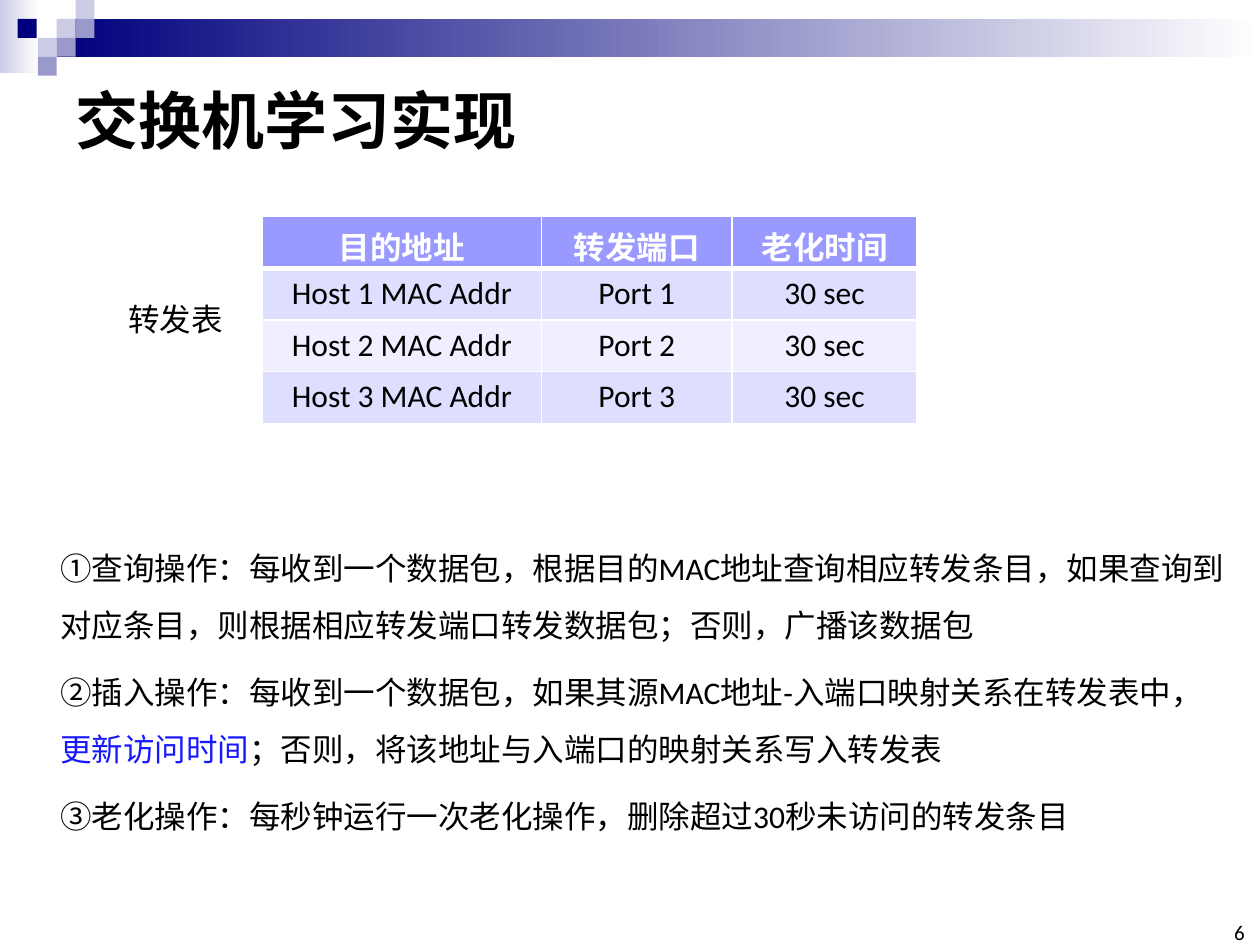
from lxml import etree
from pptx import Presentation
from pptx import util as u
from pptx.dml.color import RGBColor
from pptx.enum import shapes, text
from pptx.oxml.ns import qn

FONT = "Calibri"
BLACK, WHITE, BLUE = "000000", "FFFFFF", "1818FF"
NAVY, PALE, MID = "00007D", "CCCCE6", "9999CC"
HEADER, BANDS = "9999FF", ("DEDEFF", "EFEFFF")

# Content
TITLE = "交换机学习实现"
TABLE_LABEL = "转发表"
PAGE_NUMBER = "6"
TABLE_ROWS = [("目的地址", "转发端口", "老化时间")] + [
    (f"Host {n} MAC Addr", f"Port {n}", "30 sec") for n in (1, 2, 3)]
COLUMN_WIDTHS = (2.22, 1.51, 1.47)
ROW_HEIGHT = 0.41
OPERATIONS = [
    [("①查询操作：每收到一个数据包，根据目的MAC地址查询相应转发条目，如果查询到对应条目，"
      "则根据相应转发端口转发数据包；否则，广播该数据包", BLACK)],
    [("②插入操作：每收到一个数据包，如果其源MAC地址-入端口映射关系在转发表中，", BLACK),
     ("更新访问时间", BLUE),
     ("；否则，将该地址与入端口的映射关系写入转发表", BLACK)],
    [("③老化操作：每秒钟运行一次老化操作，删除超过30秒未访问的转发条目", BLACK)],
]
GRADIENT_BARS = [((0, 0, 0.31, 0.58), PALE), ((0.45, 0.15, 9.55, 0.3), NAVY)]
SQUARE = 0.15
SQUARES = [(0.45, 0.15, PALE), (0.6, 0, PALE), (0.6, 0.15, MID), (0.3, 0.3, PALE),
           (0.14, 0.15, NAVY), (0.45, 0.3, MID), (0.3, 0.45, MID)]


def color(value):
    return RGBColor.from_string(value)


def inches(values):
    return [u.Inches(value) for value in values]


def add_span(para, words, size=18, tone=BLACK, bold=False):
    span = para.add_run()
    span.text = words
    span.font.name, span.font.size, span.font.bold = FONT, u.Pt(size), bold
    span.font.color.rgb = color(tone)


def add_box(at, wrap=True, anchor=text.MSO_ANCHOR.TOP):
    frame = page.shapes.add_textbox(*inches(at)).text_frame
    frame.word_wrap, frame.vertical_anchor = wrap, anchor
    return frame


def add_rectangle(at):
    box = page.shapes.add_shape(shapes.MSO_SHAPE.RECTANGLE, *inches(at))
    box.shadow.inherit = False
    box.line.fill.background()
    return box


def set_borders(cell, bottom):
    props = cell._tc.get_or_add_tcPr()
    widths = {"a:lnL": 1, "a:lnR": 1, "a:lnT": 1, "a:lnB": bottom}
    for index, (tag, width) in enumerate(widths.items()):
        line = etree.Element(qn(tag), w=str(u.Pt(width)))
        fill = etree.SubElement(line, qn("a:solidFill"))
        etree.SubElement(fill, qn("a:srgbClr"), val=WHITE)
        props.insert(index, line)


deck = Presentation()
deck.slide_width, deck.slide_height = inches((10, 7.5))
page = deck.slides.add_slide(deck.slide_layouts[6])

# Top decoration
for at, start in GRADIENT_BARS:
    fill = add_rectangle(at).fill
    fill.gradient()
    fill.gradient_angle = 0
    for stop, tone in zip(fill.gradient_stops, (start, WHITE)):
        stop.color.rgb = color(tone)
        stop.position = 0 if tone == start else 1
for left, top, tone in SQUARES:
    fill = add_rectangle((left, top, SQUARE, SQUARE)).fill
    fill.solid()
    fill.fore_color.rgb = color(tone)

# Title and page number
title = add_box((0.5, 0.5, 9, 0.89), anchor=text.MSO_ANCHOR.MIDDLE)
add_span(title.paragraphs[0], TITLE, 36, bold=True)
number = add_box((9.65, 7.33, 0.23, 0.17), anchor=text.MSO_ANCHOR.BOTTOM)
number.margin_left = number.margin_right = number.margin_top = number.margin_bottom = 0
number.paragraphs[0].alignment = text.PP_ALIGN.RIGHT
add_span(number.paragraphs[0], PAGE_NUMBER, 12)

# Forwarding table
table = page.shapes.add_table(
    len(TABLE_ROWS), len(COLUMN_WIDTHS),
    *inches((2.08, 1.72, sum(COLUMN_WIDTHS), ROW_HEIGHT * len(TABLE_ROWS)))).table
for column, width in zip(table.columns, COLUMN_WIDTHS):
    column.width = u.Inches(width)
for r, values in enumerate(TABLE_ROWS):
    table.rows[r].height = u.Inches(ROW_HEIGHT)
    is_header = r == 0
    for c, value in enumerate(values):
        cell = table.cell(r, c)
        cell.fill.solid()
        cell.fill.fore_color.rgb = color(HEADER if is_header else BANDS[(r - 1) % 2])
        set_borders(cell, bottom=3 if is_header else 1)
        para = cell.text_frame.paragraphs[0]
        para.alignment = text.PP_ALIGN.CENTER
        add_span(para, value, tone=WHITE if is_header else BLACK, bold=is_header)
label = add_box((0.92, 2.33, 0.96, 0.4), wrap=False)
add_span(label.paragraphs[0], TABLE_LABEL)

# Operations
body = add_box((0.38, 4.16, 9.5, 2.49))
for i, spans in enumerate(OPERATIONS):
    para = body.add_paragraph() if i else body.paragraphs[0]
    para.line_spacing, para.space_before = 1.5, u.Pt(6)
    for words, tone in spans:
        add_span(para, words, tone=tone)

deck.save("out.pptx")
